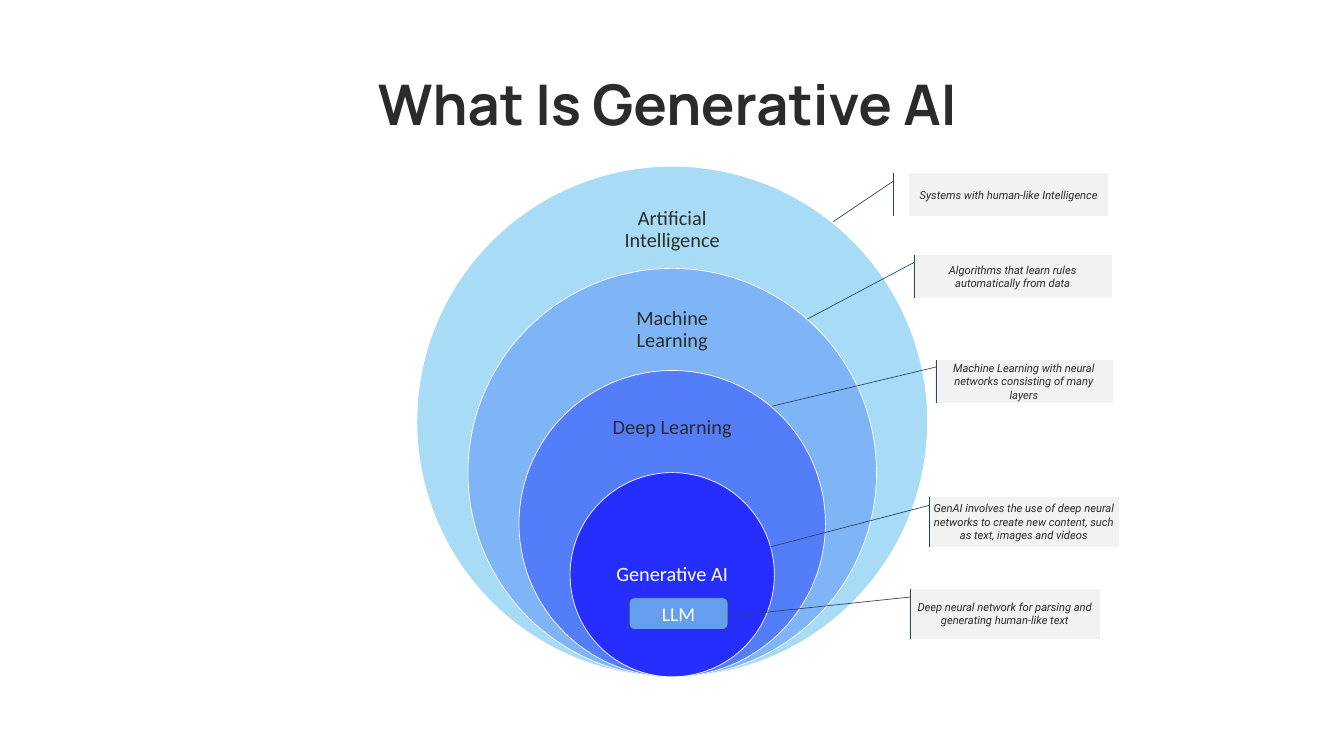
"""Build a slide of nested circles that explains generative AI."""
from pptx import Presentation
from pptx.dml.color import RGBColor
from pptx.enum.shapes import MSO_SHAPE
from pptx.enum.text import MSO_ANCHOR, PP_ALIGN
from pptx.util import Pt

OVAL = MSO_SHAPE.OVAL
ROUND = MSO_SHAPE.ROUNDED_RECTANGLE
CALLOUT = MSO_SHAPE.LINE_CALLOUT_1_ACCENT_BAR
MIDDLE = MSO_ANCHOR.MIDDLE
CENTER = PP_ALIGN.CENTER

INK = RGBColor(0x2A, 0x2C, 0x2A)
WHITE = RGBColor(0xFF, 0xFF, 0xFF)
NAVY = RGBColor(0x2C, 0x45, 0x69)
GREY = RGBColor(0xF2, 0xF2, 0xF2)
SKY = RGBColor(0x65, 0x9E, 0xEF)

TITLE = "What Is Generative AI"
RINGS = [
    ("Artificial Intelligence", RGBColor(0xA8, 0xDB, 0xF5), INK, 273.6, 109.4),
    ("Machine Learning", RGBColor(0x7F, 0xB5, 0xF6), INK, 418.3, 105.1),
    ("Deep Learning", RGBColor(0x54, 0x7D, 0xF9), INK, 561.6, 98.6),
    ("Generative AI", RGBColor(0x26, 0x2E, 0xFF), WHITE, 748.1, 146.2),
]
NOTES = [
    ("Systems with human-like Intelligence",
     (1298.9, 247.7, 283.7, 61.2), (0.1875, -0.0833, 1.125, -0.3833)),
    ("Algorithms that learn rules automatically from data",
     (1304.6, 364.3, 283.7, 61.2), (0.166, 0.006, 1.495, -0.534)),
    ("Machine Learning with neural networks consisting of many layers",
     (1335.6, 514.1, 253.4, 61.2), (0.166, 0.006, 1.082, -0.92)),
    ("GenAI involves the use of deep neural networks to create new content, "
     "such as text, images and videos",
     (1326.2, 709.9, 272.2, 71.3), (0.166, 0.006, 1.001, -0.831)),
    ("Deep neural network for parsing and generating human-like text",
     (1298.9, 841, 272.2, 71.3), (0.166, 0.006, 0.552, -0.953)),
]
MID, BASE, STEP = 960.1, 966.9, 145.87
LABEL = 204


def write(shape, text, font, size, color, bold=False, italic=False, inset=None):
    frame = shape.text_frame
    frame.word_wrap = True
    frame.vertical_anchor = MIDDLE
    if inset:
        (frame.margin_left, frame.margin_top,
         frame.margin_right, frame.margin_bottom) = map(Pt, inset)
    frame.text = text
    para = frame.paragraphs[0]
    para.alignment = CENTER
    face = para.runs[0].font
    face.name, face.size, face.color.rgb = font, Pt(size), color
    face.bold, face.italic = bold, italic
    return para


def draw(shapes, kind, box, fill, line):
    shape = shapes.add_shape(kind, *map(Pt, box))
    shape.shadow.inherit = False
    shape.fill.solid()
    shape.fill.fore_color.rgb = fill
    shape.line.color.rgb = line
    shape.line.width = Pt(1)
    return shape


def main():
    deck = Presentation()
    deck.slide_width, deck.slide_height = Pt(1919.52), Pt(1080)
    shapes = deck.slides.add_slide(deck.slide_layouts[6]).shapes

    title = shapes.add_textbox(Pt(239.8), Pt(95), Pt(1440), Pt(104.4))
    write(title, TITLE, "Manrope", 80, INK, bold=True, inset=(72, 3.6, 85, 3.6))

    group = shapes.add_group_shape().shapes
    for rank, (text, fill, color, top, height) in enumerate(RINGS):
        size = STEP * (5 - rank)
        draw(group, OVAL, (MID - size / 2, BASE - size, size, size), fill, WHITE)
        label = group.add_textbox(
            Pt(MID - LABEL / 2), Pt(top), Pt(LABEL), Pt(height))
        para = write(label, text, "Calibri", 29, color, inset=(16.5,) * 4)
        para.line_spacing = 0.9

    badge = draw(shapes, ROUND, (898.6, 853.9, 141.1, 45.4), SKY, NAVY)
    write(badge, "LLM", "Calibri", 28, WHITE)

    for text, box, bends in NOTES:
        note = draw(shapes, CALLOUT, box, GREY, NAVY)
        for spot, bend in enumerate(bends):
            note.adjustments[spot] = bend
        write(note, text, "Roboto", 16, INK, italic=True)

    deck.save("out.pptx")


if __name__ == "__main__":
    main()
